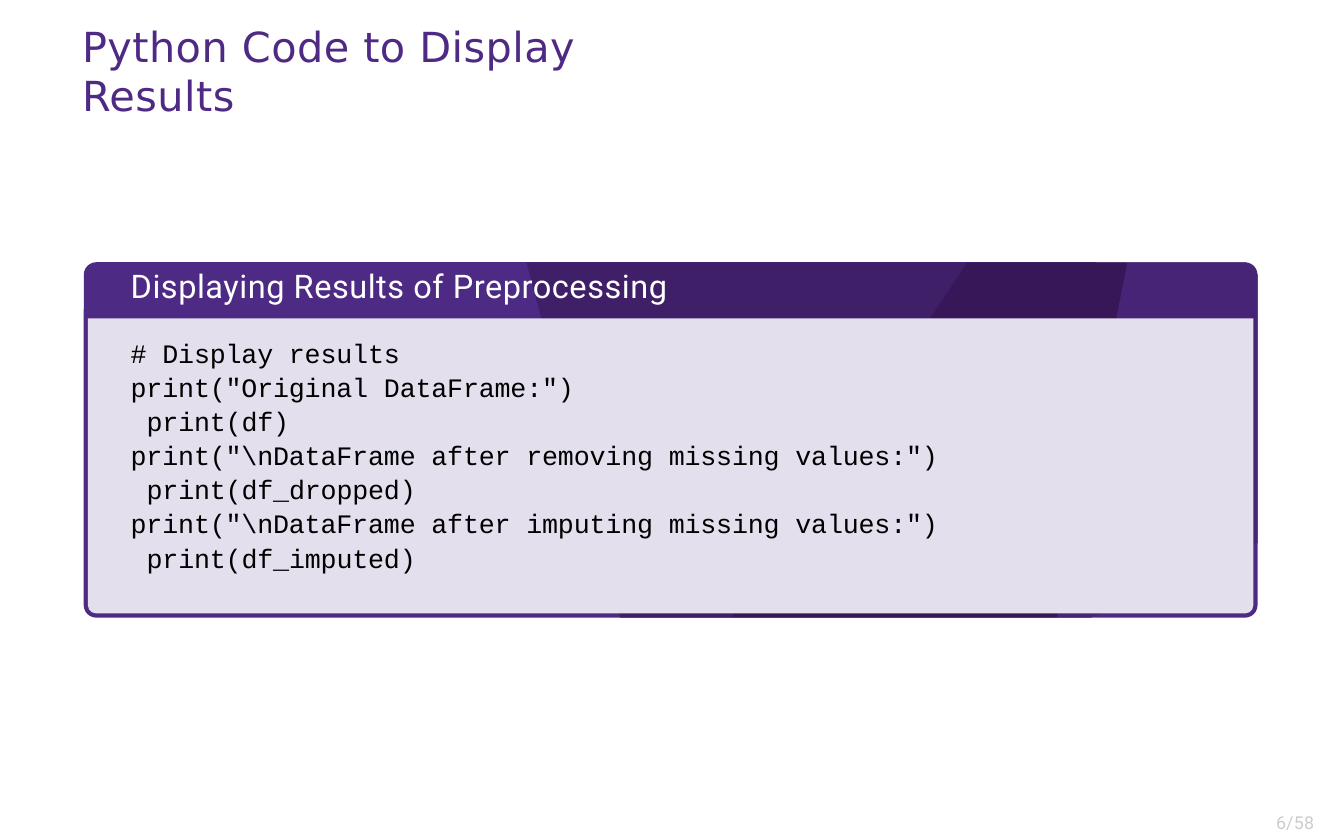
from dataclasses import dataclass

from pptx import Presentation
from pptx.dml.color import RGBColor
from pptx.enum.shapes import MSO_SHAPE as Preset
from pptx.util import Cm, Pt


@dataclass(frozen=True)
class TextStyle:
    font: str
    size: float
    color: str
    tracking: int  # hundredths of a point


@dataclass(frozen=True)
class Theme:
    purple: str = "4D2A84"
    facet_mid: str = "3F1F67"
    facet_dark: str = "381759"
    facet_soft: str = "472476"
    panel: str = "E3DFED"
    title: TextStyle = TextStyle("DejaVu Sans", 14, "4E2A84", 15)
    heading: TextStyle = TextStyle("Roboto", 11, "FFFFFF", 17)
    code: TextStyle = TextStyle("Courier New", 9, "000000", -5)
    page: TextStyle = TextStyle("Roboto", 6, "CCCCCC", 10)


@dataclass(frozen=True)
class Box:
    """A rectangle in centimetres."""
    left: float
    top: float
    width: float
    height: float

    def lengths(self):
        return [Cm(n) for n in (self.left, self.top, self.width, self.height)]


THEME = Theme()
CORNER = 0.15
CODE_INDENT = 0.19
CODE_LINES = [
    (0, "# Display results"),
    (0, 'print("Original DataFrame:")'),
    (1, "print(df)"),
    (0, 'print("\\nDataFrame after removing missing values:")'),
    (1, "print(df_dropped)"),
    (0, 'print("\\nDataFrame after imputing missing values:")'),
    (1, "print(df_imputed)"),
]


def paint(shape, color):
    shape.shadow.inherit = False
    shape.fill.solid()
    shape.fill.fore_color.rgb = RGBColor.from_string(color)
    shape.line.fill.background()


def add_text_frame(slide, box, top_inset):
    frame = slide.shapes.add_textbox(*box.lengths()).text_frame
    frame.word_wrap = True
    frame.margin_left = frame.margin_right = frame.margin_bottom = 0
    frame.margin_top = Cm(top_inset)
    return frame


def add_run(paragraph, text, style):
    run = paragraph.add_run()
    run.text = text
    run.font.name = style.font
    run.font.size = Pt(style.size)
    run.font.color.rgb = RGBColor.from_string(style.color)
    run._r.get_or_add_rPr().set("spc", str(style.tracking))


def set_indent(paragraph, indent):
    paragraph._p.get_or_add_pPr().set("marL", str(Cm(indent)))


def add_title(slide, box):
    paragraph = add_text_frame(slide, box, 0.05).paragraphs[0]
    paragraph.space_before = Pt(1.4)
    set_indent(paragraph, 0.03)
    add_run(paragraph, "Python Code to Display", THEME.title)
    paragraph.add_line_break()
    add_run(paragraph, "Results", THEME.title)


def add_facet(slide, box, points, color):
    """Draw a polygon whose points are centimetres from the box corner."""
    corners = [(Cm(box.left + x), Cm(box.top + y)) for x, y in points]
    builder = slide.shapes.build_freeform(*corners[0])
    builder.add_line_segments(corners[1:], close=True)
    paint(builder.convert_to_shape(), color)


def add_code_card(slide, box):
    right, bottom = box.width, box.height
    frame = slide.shapes.add_shape(Preset.ROUNDED_RECTANGLE, *box.lengths())
    frame.adjustments[0] = CORNER / box.height
    paint(frame, THEME.purple)

    bevel = CORNER * 0.3
    rounded = [(right - CORNER, 0), (right - bevel, bevel), (right, CORNER)]
    facets = [
        (THEME.facet_mid,
         [(5.28, 0), (10.54, 0), (7.72, bottom), (6.4, bottom)]),
        (THEME.facet_dark,
         [(10.54, 0), (12.45, 0), (11.61, bottom), (7.72, bottom)]),
        (THEME.facet_soft,
         [(12.45, 0), *rounded, (right, 3.35), (12.01, bottom), (11.61, bottom)]),
    ]
    for color, points in facets:
        add_facet(slide, box, points, color)

    border, header = 0.05, 0.67
    panel_box = Box(box.left + border, box.top + header,
                    box.width - 2 * border, box.height - header - border)
    panel = slide.shapes.add_shape(Preset.ROUND_2_SAME_RECTANGLE,
                                   *panel_box.lengths())
    panel.adjustments[0] = 0
    panel.adjustments[1] = (CORNER - border) / panel_box.height
    paint(panel, THEME.panel)

    text_box = Box(box.left + 0.53, box.top + 0.02, 9.9, 3.58)
    text_frame = add_text_frame(slide, text_box, 0.03)
    heading = text_frame.paragraphs[0]
    heading.space_before = Pt(0.9)
    set_indent(heading, 0.03)
    add_run(heading, "Displaying Results of Preprocessing", THEME.heading)
    for number, (level, line) in enumerate(CODE_LINES):
        paragraph = text_frame.add_paragraph()
        paragraph.space_before = Pt(0 if number else 9.7)
        paragraph.line_spacing = 1.07
        set_indent(paragraph, 0.03 + level * CODE_INDENT)
        add_run(paragraph, line, THEME.code)


def add_page_number(slide, box):
    paragraph = add_text_frame(slide, box, 0.03).paragraphs[0]
    paragraph.space_before = Pt(0.6)
    set_indent(paragraph, 0.1)
    add_run(paragraph, "6/58", THEME.page)


def main():
    presentation = Presentation()
    presentation.slide_width = Cm(16.03)
    presentation.slide_height = Cm(10.01)
    slide = presentation.slides.add_slide(presentation.slide_layouts[6])
    add_title(slide, Box(0.95, 0.2, 7.75, 0.69))
    add_code_card(slide, Box(1, 3.13, 14, 4.24))
    add_page_number(slide, Box(15.12, 9.65, 0.82, 0.33))
    presentation.save("out.pptx")


if __name__ == "__main__":
    main()
